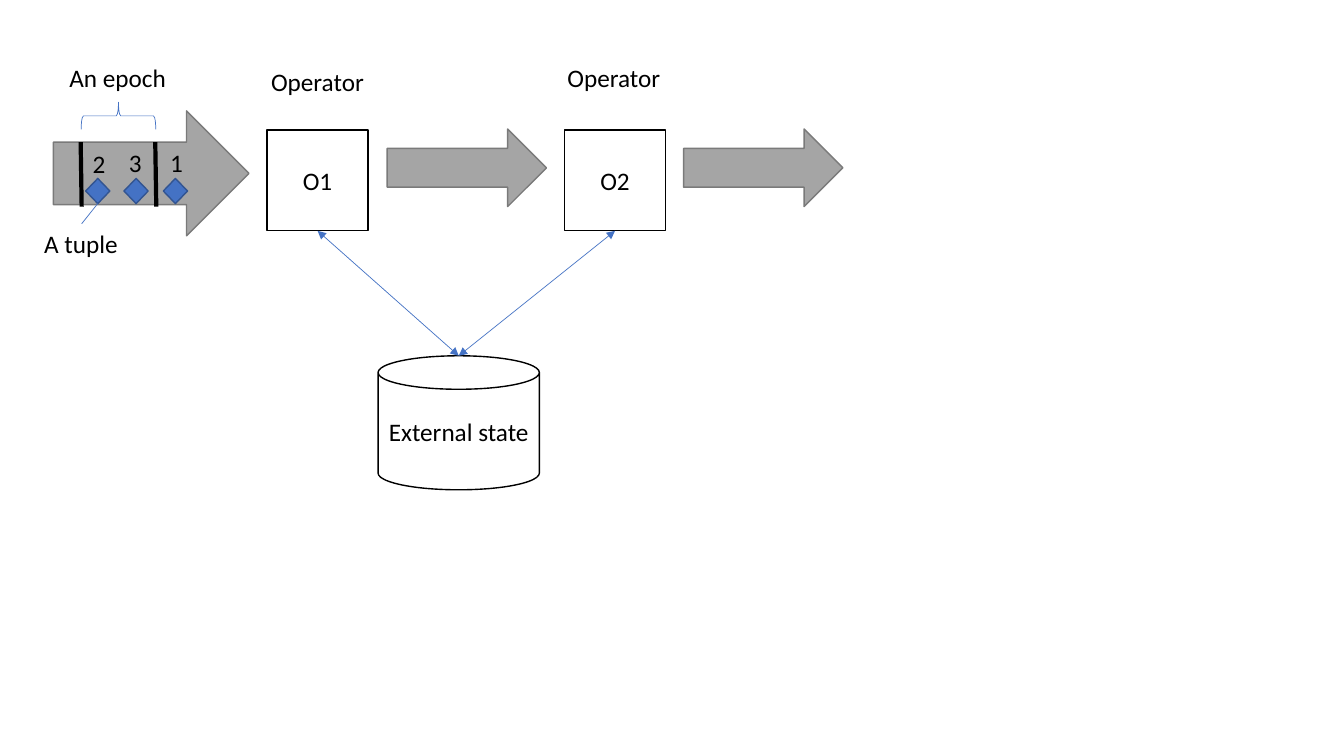
from dataclasses import dataclass

from lxml import etree
from pptx import Presentation
from pptx import util as u
from pptx.dml import color
from pptx.dml.fill import FillFormat
from pptx.enum import shapes, text
from pptx.oxml import ns
from pptx.shapes.autoshape import Shape
from pptx.shapes.connector import Connector
from pptx.shapes.shapetree import SlideShapes
from pptx.text.text import TextFrame

KINDS = shapes.MSO_SHAPE
COLUMNS, ROWS = 133.3, 75
CELL = u.Inches(7.5) / ROWS
BLACK, WHITE, BLUE, NAVY = "000000", "FFFFFF", "4472C4", "325491"
GREY, DARK_GREY = "A5A5A5", "7A7A7A"
LETTERING = {"size": u.Pt(18), "name": "Calibri"}
LABEL_FRAME = {"word_wrap": False, "auto_size": text.MSO_AUTO_SIZE.SHAPE_TO_FIT_TEXT}
NODE_FRAME = {"word_wrap": True, "vertical_anchor": text.MSO_ANCHOR.MIDDLE}


@dataclass
class Node:
    """A preset shape placed in grid cells."""

    kind: shapes.MSO_SHAPE
    left: float
    top: float
    width: float
    height: float
    fill: str | None
    outline: str
    wording: str = ""
    weight: float = 1
    rotation: float = 0


@dataclass
class Label:
    """A free piece of text placed in grid cells."""

    wording: str
    left: float
    top: float
    width: float


@dataclass
class Link:
    """A straight line between two points in grid cells."""

    start: tuple[float, float]
    end: tuple[float, float]
    hue: str = BLUE
    weight: float = 0.5
    arrows: bool = False


def cells(count: float) -> u.Emu:
    """Turn a number of grid columns or rows into a length."""
    return u.Emu(round(count * CELL))


def paint(fill: FillFormat, hue: str) -> None:
    """Give a fill one solid colour."""
    fill.solid()
    fill.fore_color.rgb = color.RGBColor.from_string(hue)


def write(frame: TextFrame, wording: str, layout: dict, align: text.PP_ALIGN) -> None:
    """Put one formatted paragraph in a text frame."""
    for name, value in layout.items():
        setattr(frame, name, value)
    paragraph = frame.paragraphs[0]
    paragraph.alignment = align
    run = paragraph.add_run()
    run.text = wording
    for name, value in LETTERING.items():
        setattr(run.font, name, value)
    paint(run.font.fill, BLACK)


def draw_node(canvas: SlideShapes, node: Node) -> Shape:
    """Draw a preset shape with its wording."""
    place = map(cells, (node.left, node.top, node.width, node.height))
    shape = canvas.add_shape(node.kind, *place)
    shape.shadow.inherit = False
    shape.rotation = node.rotation
    if node.fill:
        paint(shape.fill, node.fill)
    else:
        shape.fill.background()
    paint(shape.line.fill, node.outline)
    shape.line.width = u.Pt(node.weight)
    if node.wording:
        write(shape.text_frame, node.wording, NODE_FRAME, text.PP_ALIGN.CENTER)
    return shape


def draw_label(canvas: SlideShapes, label: Label) -> None:
    """Draw a label in a text box."""
    box = canvas.add_textbox(*map(cells, (label.left, label.top, label.width, 4)))
    write(box.text_frame, label.wording, LABEL_FRAME, text.PP_ALIGN.LEFT)


def draw_link(canvas: SlideShapes, link: Link) -> Connector:
    """Draw a line, with arrowheads at both ends if asked."""
    points = map(cells, (*link.start, *link.end))
    line = canvas.add_connector(shapes.MSO_CONNECTOR.STRAIGHT, *points)
    paint(line.line.fill, link.hue)
    line.line.width = u.Pt(link.weight)
    if link.arrows:
        outline = line.line._get_or_add_ln()
        for end in ("a:headEnd", "a:tailEnd"):
            etree.SubElement(outline, ns.qn(end), type="triangle")
    etree.SubElement(line._element.spPr, ns.qn("a:effectLst"))
    return line


def main() -> None:
    """Build the stream processing slide."""
    deck = Presentation()
    deck.slide_width, deck.slide_height = cells(COLUMNS), cells(ROWS)
    canvas = deck.slides.add_slide(deck.slide_layouts[6]).shapes

    store_top = (45.5, 35.3)
    draw_node(canvas, Node(KINDS.CAN, 37.5, 35.3, 16, 13.3, WHITE, BLACK, "External state"))
    for name, left in (("O1", 26.5), ("O2", 56)):
        operator = draw_node(canvas, Node(KINDS.RECTANGLE, left, 12.9, 10, 10, WHITE, BLACK, name))
        access = draw_link(canvas, Link((left + 5, 22.9), store_top, arrows=True))
        access.begin_connect(operator, 2)

    for left, top, width, height in (
        (5.3, 11, 19.4, 12.4),
        (38.4, 12.8, 15.8, 7.7),
        (67.8, 12.8, 15.8, 7.7),
    ):
        draw_node(canvas, Node(KINDS.RIGHT_ARROW, left, top, width, height, GREY, DARK_GREY))

    tuples = [
        draw_node(canvas, Node(KINDS.DIAMOND, left, 17.7, 2.4, 2.5, BLUE, NAVY))
        for left in (8.5, 12.3, 16.2)
    ]
    pointer = draw_link(canvas, Link((9.7, 20.2), (8.1, 22.2)))
    pointer.begin_connect(tuples[0], 2)

    for left in (8, 15.4):
        draw_link(canvas, Link((left, 14.1), (left + 0.1, 20.5), BLACK, 3))
    draw_node(canvas, Node(KINDS.LEFT_BRACE, 10.4, 7.8, 2.7, 7.4, None, BLUE, weight=0.5, rotation=90))

    for label in (
        Label("A tuple", 3.4, 22.2, 9.4),
        Label("An epoch", 5.9, 5.7, 11.7),
        Label("Operator", 25.9, 6.1, 11.3),
        Label("Operator", 55.3, 5.7, 11.3),
        Label("1", 15.9, 14.1, 3.3),
        Label("3", 11.8, 14.1, 3.3),
        Label("2", 8.2, 14.2, 3.3),
    ):
        draw_label(canvas, label)

    deck.save("out.pptx")


if __name__ == "__main__":
    main()
